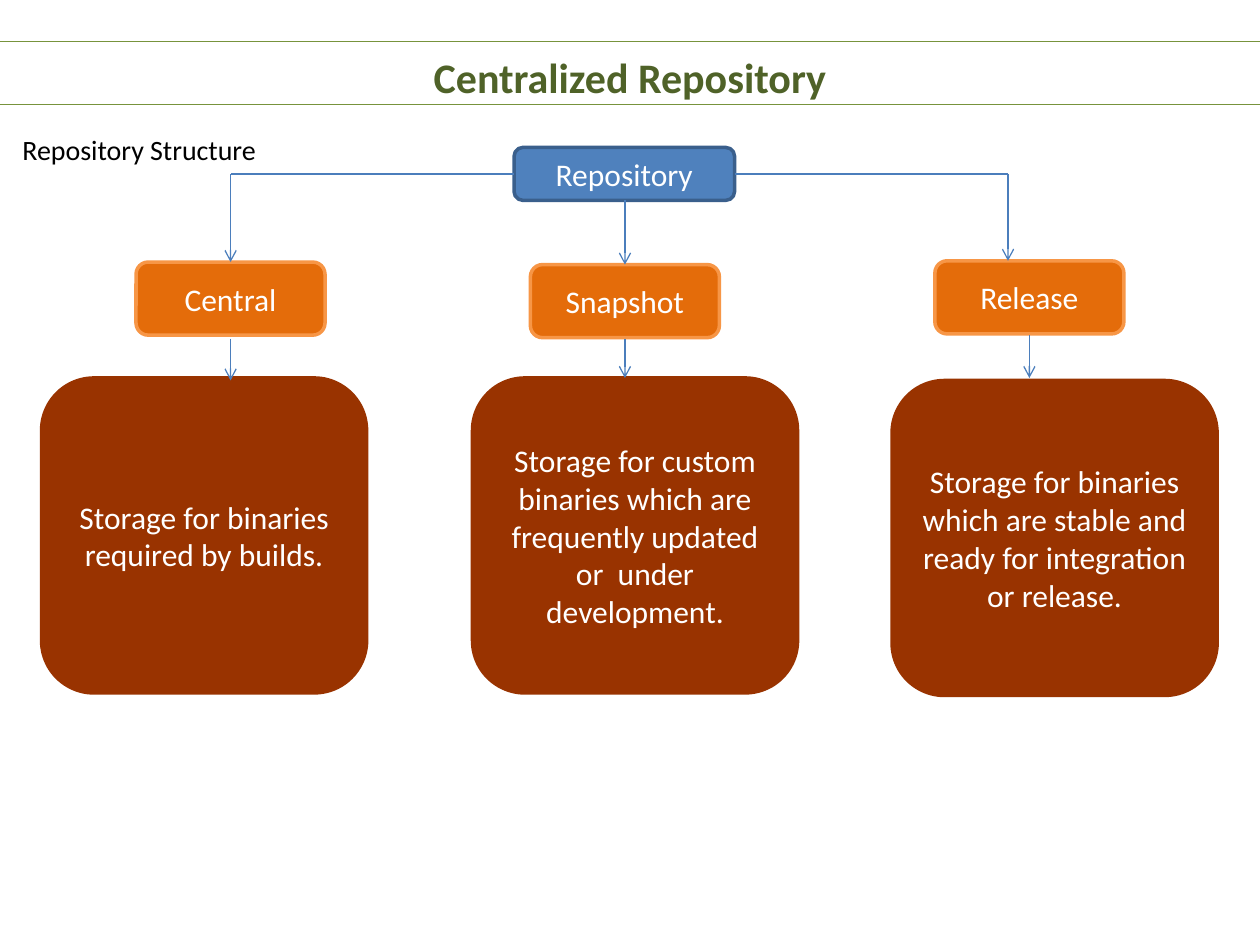
from lxml import etree
from pptx import Presentation
from pptx.dml.color import RGBColor
from pptx.enum.shapes import MSO_CONNECTOR as Connector, MSO_SHAPE as Shape
from pptx.enum.text import MSO_ANCHOR as Anchor, PP_ALIGN as Align
from pptx.oxml.ns import qn
from pptx.util import Inches, Pt

WHITE = RGBColor(0xFF, 0xFF, 0xFF)
BLACK = RGBColor(0x00, 0x00, 0x00)
TITLE_GREEN = RGBColor(0x4F, 0x62, 0x28)
RULE_GREEN = RGBColor(0x77, 0x93, 0x3C)
BLUE = RGBColor(0x4F, 0x81, 0xBD)
DARK_BLUE = RGBColor(0x3A, 0x5F, 0x8C)
ARROW_BLUE = RGBColor(0x4B, 0x7E, 0xBC)
ORANGE = RGBColor(0xE4, 0x6C, 0x0A)
LIGHT_ORANGE = RGBColor(0xF7, 0x96, 0x46)
BROWN = RGBColor(0x99, 0x33, 0x00)

ROOT_BOX = (4.08, 1.17, 1.75, 0.42)
KIND_SIZE = (1.5, 0.58)
STORAGE_SIZE = (2.58, 2.5)
BRANCHES = [
    dict(name="Central", kind_at=(1.08, 2.08), storage_at=(0.33, 3),
         text="Storage for binaries required by builds.",
         drop_x=1.83, link=(1.83, 2.69, 3.02)),
    dict(name="Snapshot", kind_at=(4.21, 2.1), storage_at=(3.75, 3),
         text="Storage for custom binaries which are frequently updated or  under development.",
         drop_x=4.96, link=(4.96, 2.69, 3)),
    dict(name="Release", kind_at=(7.42, 2.07), storage_at=(7.08, 3.02),
         text="Storage for binaries which are stable and ready for integration or release.",
         drop_x=8, link=(8.17, 2.66, 3)),
]


def write_text(shape, text, size=18, color=WHITE, bold=False,
               align=Align.CENTER, anchor=Anchor.MIDDLE, space_before=0):
    """Write one formatted paragraph into a shape."""
    frame = shape.text_frame
    frame.word_wrap = True
    frame.vertical_anchor = anchor
    paragraph = frame.paragraphs[0]
    paragraph.alignment = align
    paragraph.space_before = Pt(space_before)
    run = paragraph.add_run()
    run.text = text
    run.font.name = "Calibri"
    run.font.size = Pt(size)
    run.font.bold = bold
    run.font.color.rgb = color


def add_box(slide, box, text, fill, outline):
    """Add a rounded box with centred text."""
    shape = slide.shapes.add_shape(Shape.ROUNDED_RECTANGLE, *map(Inches, box))
    shape.shadow.inherit = False
    shape.fill.solid()
    shape.fill.fore_color.rgb = fill
    shape.line.color.rgb = outline
    shape.line.width = Pt(2)
    write_text(shape, text)


def add_line(slide, start, end, color=ARROW_BLUE, arrow=False):
    """Add a thin straight line, with an open arrowhead if asked."""
    line = slide.shapes.add_connector(
        Connector.STRAIGHT, *map(Inches, (*start, *end)))
    line.line.color.rgb = color
    line.line.width = Pt(0.75)
    if arrow:
        outline = line._element.spPr.find(qn("a:ln"))
        etree.SubElement(outline, qn("a:tailEnd"), type="arrow")
    etree.SubElement(line._element.spPr, qn("a:effectLst"))


def add_header(slide, box):
    """Place the title between its two rules."""
    title = slide.shapes.title
    title.left, title.top, title.width, title.height = map(Inches, box)
    write_text(title, "Centralized Repository", size=24, color=TITLE_GREEN, bold=True)
    top = box[1]
    for y, right in ((top + 0.03, 10), (top + 0.53, 10.08)):
        add_line(slide, (0, y), (right, y), RULE_GREEN)


def add_caption(slide, box):
    """Add the caption of the diagram."""
    caption = slide.shapes.add_textbox(*map(Inches, box))
    write_text(caption, "Repository Structure", size=16, color=BLACK,
               align=Align.LEFT, anchor=Anchor.TOP, space_before=3.2)


def add_branch(slide, root, branch):
    """Add one repository kind, its storage box and the lines from the root."""
    left, top, width, height = root
    middle, drop_x = top + height / 2, branch["drop_x"]
    kind_top = branch["kind_at"][1]
    add_box(slide, (*branch["kind_at"], *KIND_SIZE), branch["name"],
            ORANGE, LIGHT_ORANGE)
    add_box(slide, (*branch["storage_at"], *STORAGE_SIZE), branch["text"],
            BROWN, BROWN)
    drop_top = middle
    if drop_x < left:
        add_line(slide, (left, middle), (drop_x, middle))
    elif drop_x > left + width:
        add_line(slide, (left + width, middle), (drop_x, middle))
    else:
        drop_top = top + height
    add_line(slide, (drop_x, drop_top), (drop_x, kind_top), arrow=True)
    link_x, link_top, link_bottom = branch["link"]
    add_line(slide, (link_x, link_top), (link_x, link_bottom), arrow=True)


def add_diagram(slide, root):
    """Add the repository tree below its root box."""
    add_box(slide, root, "Repository", BLUE, DARK_BLUE)
    for branch in BRANCHES:
        add_branch(slide, root, branch)


def build():
    """Build and save the presentation."""
    presentation = Presentation()
    presentation.slide_width = Inches(10)
    presentation.slide_height = Inches(7.5)
    slide = presentation.slides.add_slide(presentation.slide_layouts[5])
    add_header(slide, (0.5, 0.3, 9, 0.62))
    add_caption(slide, (0.08, 1, 9.83, 5.7))
    add_diagram(slide, ROOT_BOX)
    presentation.save("out.pptx")


build()
